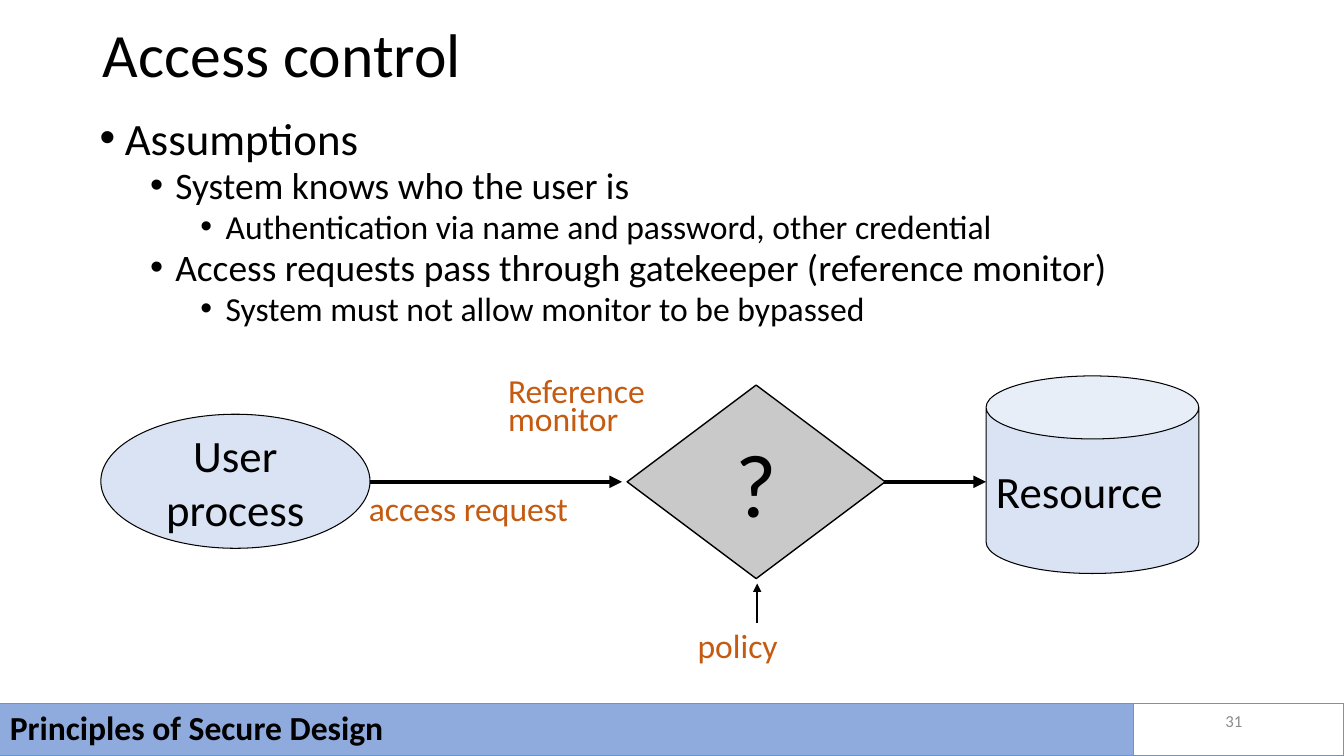
from lxml.etree import SubElement
from pptx import Presentation
from pptx.dml.color import RGBColor
from pptx.enum.shapes import MSO_CONNECTOR, MSO_SHAPE
from pptx.enum.text import MSO_ANCHOR, MSO_AUTO_SIZE, PP_ALIGN
from pptx.oxml.ns import qn
from pptx.util import Inches, Pt

FONT = "Calibri"
BLACK, ORANGE, GRAY = "000000", "C55A11", "8C8C8C"
PALE_BLUE, SILVER, BAR_BLUE, BORDER_BLUE = "DAE3F3", "C9C9C9", "8FAADC", "5B9BD5"
ASSUMPTIONS = [
    (0, "Assumptions"),
    (1, "System knows who the user is"),
    (2, "Authentication via name and password, other credential"),
    (1, "Access requests pass through gatekeeper (reference monitor)"),
    (2, "System must not allow monitor to be bypassed"),
]
LEVEL_SIZES = [32, 26.7, 24]


def color(value):
    """Return the colour for a hex string."""
    return RGBColor.from_string(value)


def write(shape, text, size, ink=BLACK, align=PP_ALIGN.LEFT, spacing=1.0,
          anchor=MSO_ANCHOR.MIDDLE, bold=False, wrap=True):
    """Fill a shape with text in one style."""
    frame = shape.text_frame
    frame.text = text
    frame.auto_size = MSO_AUTO_SIZE.NONE
    frame.word_wrap = wrap
    frame.vertical_anchor = anchor
    for paragraph in frame.paragraphs:
        paragraph.alignment = align
        paragraph.line_spacing = spacing
        for run in paragraph.runs:
            run.font.name = FONT
            run.font.size = Pt(size)
            run.font.bold = bold
            run.font.color.rgb = color(ink)


def add_text(slide, box, text, size, **style):
    """Add a text box with styled text."""
    shape = slide.shapes.add_textbox(*map(Inches, box))
    write(shape, text, size, **style)
    return shape


def add_node(slide, kind, box, fill, line=BLACK, width=0.75):
    """Add an outlined preset shape, unfilled when fill is None."""
    shape = slide.shapes.add_shape(kind, *map(Inches, box))
    shape.shadow.inherit = False
    if fill:
        shape.fill.solid()
        shape.fill.fore_color.rgb = color(fill)
    else:
        shape.fill.background()
    shape.line.color.rgb = color(line)
    shape.line.width = Pt(width)
    return shape


def add_arrow(slide, start, end, width):
    """Add a straight arrow pointing at end."""
    arrow = slide.shapes.add_connector(
        MSO_CONNECTOR.STRAIGHT, *map(Inches, (*start, *end)))
    arrow.line.color.rgb = color(BLACK)
    arrow.line.width = Pt(width)
    SubElement(arrow.line._get_or_add_ln(), qn("a:tailEnd"), type="triangle")
    SubElement(arrow._element.spPr, qn("a:effectLst"))


def add_title(slide, box, text):
    """Place and style the title placeholder."""
    title = slide.shapes.title
    title.left, title.top, title.width, title.height = map(Inches, box)
    write(title, text, 44, spacing=0.9)


def add_bullets(slide, box, items):
    """Add the nested bullet list."""
    shape = add_text(slide, box, "\n".join(text for _, text in items), 32,
                     spacing=0.8, anchor=MSO_ANCHOR.TOP)
    for paragraph, (level, _) in zip(shape.text_frame.paragraphs, items):
        paragraph.level = level
        paragraph.space_before = Pt(5 if level else 10)
        paragraph.runs[0].font.size = Pt(LEVEL_SIZES[level])
        properties = paragraph._p.get_or_add_pPr()
        properties.set("marL", str(Inches(0.25 + 0.5 * level)))
        properties.set("indent", str(Inches(-0.25)))
        SubElement(properties, qn("a:buFont"), typeface="Arial")
        SubElement(properties, qn("a:buChar"), char="•")


def add_diagram(slide, left, top):
    """Draw the path from user process through monitor to resource."""
    middle = top + 1.05
    resource = add_node(slide, MSO_SHAPE.CAN, (left + 8.78, top, 2.11, 1.96), PALE_BLUE)
    resource.adjustments[0] = 0.319
    write(resource, "Resource", 32)

    user = add_node(slide, MSO_SHAPE.OVAL, (left, top + 0.38, 2.67, 1.33), PALE_BLUE)
    write(user, "User process", 32, align=PP_ALIGN.CENTER)
    user.text_frame.paragraphs[0].space_before = Pt(6.4)

    add_arrow(slide, (left + 2.67, middle), (left + 5.17, middle), 3)
    add_arrow(slide, (left + 7.44, middle), (left + 8.78, middle), 3)

    labels = [
        ("Reference\nmonitor", (3.94, 0, 1.58, 0.67), False),
        ("access request", (2.56, 1.17, 2.89, 0.38), True),
        ("policy", (5.82, 2.53, 1, 0.38), False),
    ]
    for text, (x, y, width, height), wrap in labels:
        add_text(slide, (left + x, top + y, width, height), text, 24, ink=ORANGE,
                 spacing=0.7, anchor=MSO_ANCHOR.TOP, wrap=wrap)

    monitor = add_node(slide, MSO_SHAPE.DIAMOND, (left + 5.22, top + 0.09, 2.56, 1.92),
                       SILVER, width=1)
    write(monitor, "?", 64, align=PP_ALIGN.CENTER, wrap=False)
    add_arrow(slide, (left + 6.51, top + 2.45), (left + 6.51, top + 2.06), 1.5)


def add_footer(slide, left, top, width, height):
    """Draw the footer bar and the page number cell."""
    split = 11.24
    bar = add_node(slide, MSO_SHAPE.RECTANGLE, (left, top, split, height),
                   BAR_BLUE, BORDER_BLUE)
    write(bar, "Principles of Secure Design", 24, spacing=0.9, bold=True)
    add_node(slide, MSO_SHAPE.RECTANGLE, (left + split, top, width - split, height),
             None, BORDER_BLUE)
    add_text(slide, (left + 9.42, top - 0.03, 3, 0.4), "31", 12, ink=GRAY,
             align=PP_ALIGN.RIGHT)


def main():
    """Build and save the presentation."""
    presentation = Presentation()
    presentation.slide_width = Inches(13.33)
    presentation.slide_height = Inches(7.5)
    slide = presentation.slides.add_slide(presentation.slide_layouts[5])
    add_title(slide, (0.92, 0, 11.5, 1.15), "Access control")
    add_bullets(slide, (0.89, 1.15, 11.44, 2.25), ASSUMPTIONS)
    add_diagram(slide, 1, 3.73)
    add_footer(slide, 0, 6.98, 13.33, 0.52)
    presentation.save("out.pptx")


if __name__ == "__main__":
    main()
